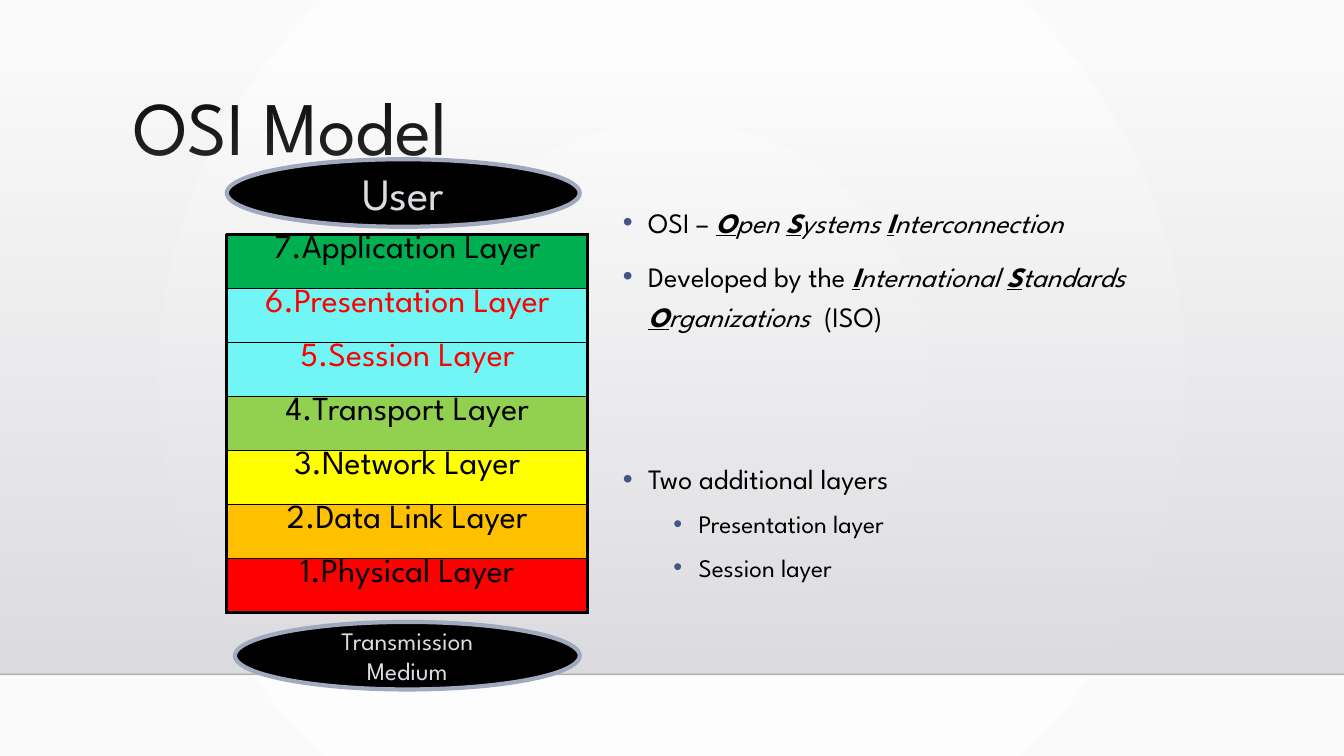
from lxml import etree
from pptx import Presentation
from pptx.dml.color import RGBColor
from pptx.enum.shapes import MSO_CONNECTOR, MSO_SHAPE
from pptx.enum.text import MSO_ANCHOR, PP_ALIGN
from pptx.oxml import parse_xml
from pptx.oxml.ns import nsdecls, qn
from pptx.util import Inches, Pt

CENTER = PP_ALIGN.CENTER
TOP, MIDDLE = MSO_ANCHOR.TOP, MSO_ANCHOR.MIDDLE
FONT = "League Spartan"
BLACK = RGBColor(0x00, 0x00, 0x00)
WHITE = RGBColor(0xFF, 0xFF, 0xFF)
PAPER = RGBColor(0xFA, 0xFA, 0xFA)
MIST = RGBColor(0xDC, 0xDC, 0xE0)
MIST_END = RGBColor(0xDE, 0xDE, 0xE2)
RIM = RGBColor(0xA1, 0xA9, 0xBF)
RED = RGBColor(0xFF, 0x00, 0x00)
GREEN = RGBColor(0x00, 0xB0, 0x50)
CYAN = RGBColor(0x71, 0xF6, 0xF5)
LIME = RGBColor(0x92, 0xD0, 0x50)
YELLOW = RGBColor(0xFF, 0xFF, 0x00)
AMBER = RGBColor(0xFF, 0xC0, 0x00)
BULLET = "415588"

TITLE = "OSI Model"
LAYERS = [
    ("Application Layer", GREEN, BLACK),
    ("Presentation Layer", CYAN, RED),
    ("Session Layer", CYAN, RED),
    ("Transport Layer", LIME, BLACK),
    ("Network Layer", YELLOW, BLACK),
    ("Data Link Layer", AMBER, BLACK),
    ("Physical Layer", RED, BLACK),
]
ENDS = [
    ("User", 32, (2.25, 1.58, 3.5, 0.67)),
    ("Transmission\vMedium", 18, (2.33, 6.17, 3.42, 0.67)),
]
PLAIN, ITALIC, INITIAL = "plain", "italic", "initial"
NOTES = [
    (0, 0, [("OSI – ", PLAIN), ("O", INITIAL), ("pen ", ITALIC), ("S", INITIAL),
            ("ystems ", ITALIC), ("I", INITIAL), ("nterconnection", ITALIC)]),
    (0, 10, [("Developed by the ", PLAIN), ("I", INITIAL), ("nternational ", ITALIC),
             ("S", INITIAL), ("tandards ", ITALIC), ("O", INITIAL),
             ("rganizations  ", ITALIC), ("(ISO)", PLAIN)]),
    (0, 87, [("Two additional layers", PLAIN)]),
    (1, 5, [("Presentation layer", PLAIN)]),
    (1, 5, [("Session layer", PLAIN)]),
]


def add_span(para, text, size, color):
    span = para.add_run()
    span.text = text
    span.font.name = FONT
    span.font.size = Pt(size)
    span.font.color.rgb = color
    return span


def place(shape, left, top, width, height):
    shape.left, shape.top = Inches(left), Inches(top)
    shape.width, shape.height = Inches(width), Inches(height)


def color_stops(fill, first, last):
    fill.gradient()
    for stop, color in zip(fill.gradient_stops, (first, last)):
        stop.color.rgb = color


def add_backdrop(page):
    color_stops(page.background.fill, WHITE, PAPER)
    gradient = next(page.element.iter(qn("a:gradFill")))
    gradient.replace(gradient.find(qn("a:lin")), parse_xml(
        f'<a:path {nsdecls("a")} path="circle">'
        '<a:fillToRect l="50000" t="50000" r="50000" b="50000"/></a:path>'))
    band = page.shapes.add_shape(MSO_SHAPE.RECTANGLE, 0, Inches(0.51),
                                 Inches(13.33), Inches(6.18))
    band.shadow.inherit = False
    band.line.fill.background()
    color_stops(band.fill, MIST, MIST_END)
    band.fill.gradient_angle = 270
    clear = next(band.element.iter(qn("a:srgbClr")))
    etree.SubElement(clear, qn("a:alpha"), val="0")
    floor = page.shapes.add_connector(MSO_CONNECTOR.STRAIGHT, 0, Inches(6.69),
                                      Inches(13.33), Inches(6.69))
    floor.line.color.rgb = BLACK
    floor.line.width = Pt(1)
    tint = next(floor.element.iter(qn("a:srgbClr")))
    etree.SubElement(tint, qn("a:alpha"), val="20000")
    etree.SubElement(floor.element.spPr, qn("a:effectLst"))


def add_title(page):
    title = page.shapes.title
    place(title, 1.22, 0.84, 10.5, 1.16)
    title.text_frame.vertical_anchor = TOP
    para = title.text_frame.paragraphs[0]
    para.alignment = PP_ALIGN.LEFT
    para.line_spacing = 0.9
    add_span(para, TITLE, 54, BLACK)


def add_notes(page):
    box = page.shapes.add_textbox(Inches(6.08), Inches(1.92), Inches(5.25), Inches(4.75))
    frame = box.text_frame
    frame.word_wrap = True
    for index, (level, gap, spans) in enumerate(NOTES):
        para = frame.add_paragraph() if index else frame.paragraphs[0]
        para.level = level
        para.line_spacing = 1.2
        para.space_before = Pt(gap)
        settings = para._p.get_or_add_pPr()
        settings.set("marL", str(Inches(0.25 + 0.5 * level)))
        settings.set("indent", str(Inches(-0.25)))
        color = etree.SubElement(settings, qn("a:buClr"))
        etree.SubElement(color, qn("a:srgbClr"), val=BULLET)
        etree.SubElement(settings, qn("a:buFont"), typeface="Arial")
        etree.SubElement(settings, qn("a:buChar"), char="•")
        for text, style in spans:
            span = add_span(para, text, 20 - 2 * level, BLACK)
            span.font.italic = style != PLAIN
            span.font.bold = span.font.underline = style == INITIAL


def set_border(cell, side, width):
    settings = cell._tc.get_or_add_tcPr()
    line = etree.SubElement(settings, qn(f"a:{side}"), w=str(Pt(width)))
    fill = etree.SubElement(line, qn("a:solidFill"))
    etree.SubElement(fill, qn("a:srgbClr"), val=str(BLACK))


def add_layers(page):
    count = len(LAYERS)
    frame = page.shapes.add_table(count, 1, Inches(2.25), Inches(2.33),
                                  Inches(3.58), Inches(3.75))
    table = frame.table
    table.first_row = table.horz_banding = False
    for index, (name, fill, color) in enumerate(LAYERS):
        cell = table.cell(index, 0)
        cell.margin_top = cell.margin_bottom = 0
        cell.vertical_anchor = TOP
        set_border(cell, "lnL", 2.25)
        set_border(cell, "lnR", 2.25)
        set_border(cell, "lnT", 1 if index else 2.25)
        set_border(cell, "lnB", 1 if index < count - 1 else 2.25)
        cell.fill.solid()
        cell.fill.fore_color.rgb = fill
        para = cell.text_frame.paragraphs[0]
        para.alignment = CENTER
        add_span(para, f"{count - index}.{name}", 24, color)


def add_ends(page):
    for text, size, spot in ENDS:
        oval = page.shapes.add_shape(MSO_SHAPE.OVAL, *map(Inches, spot))
        oval.shadow.inherit = False
        oval.fill.solid()
        oval.fill.fore_color.rgb = BLACK
        oval.line.color.rgb = RIM
        oval.line.width = Pt(3)
        frame = oval.text_frame
        frame.word_wrap = False
        frame.vertical_anchor = MIDDLE
        para = frame.paragraphs[0]
        para.alignment = CENTER
        for index, line in enumerate(text.split("\v")):
            if index:
                para.add_line_break()
            add_span(para, line, size, MIST)


def main():
    """Build the OSI model slide."""
    deck = Presentation()
    deck.slide_width, deck.slide_height = Inches(13.33), Inches(7.5)
    page = deck.slides.add_slide(deck.slide_layouts[5])
    add_backdrop(page)
    add_title(page)
    add_notes(page)
    add_layers(page)
    add_ends(page)
    deck.save("out.pptx")


if __name__ == "__main__":
    main()
